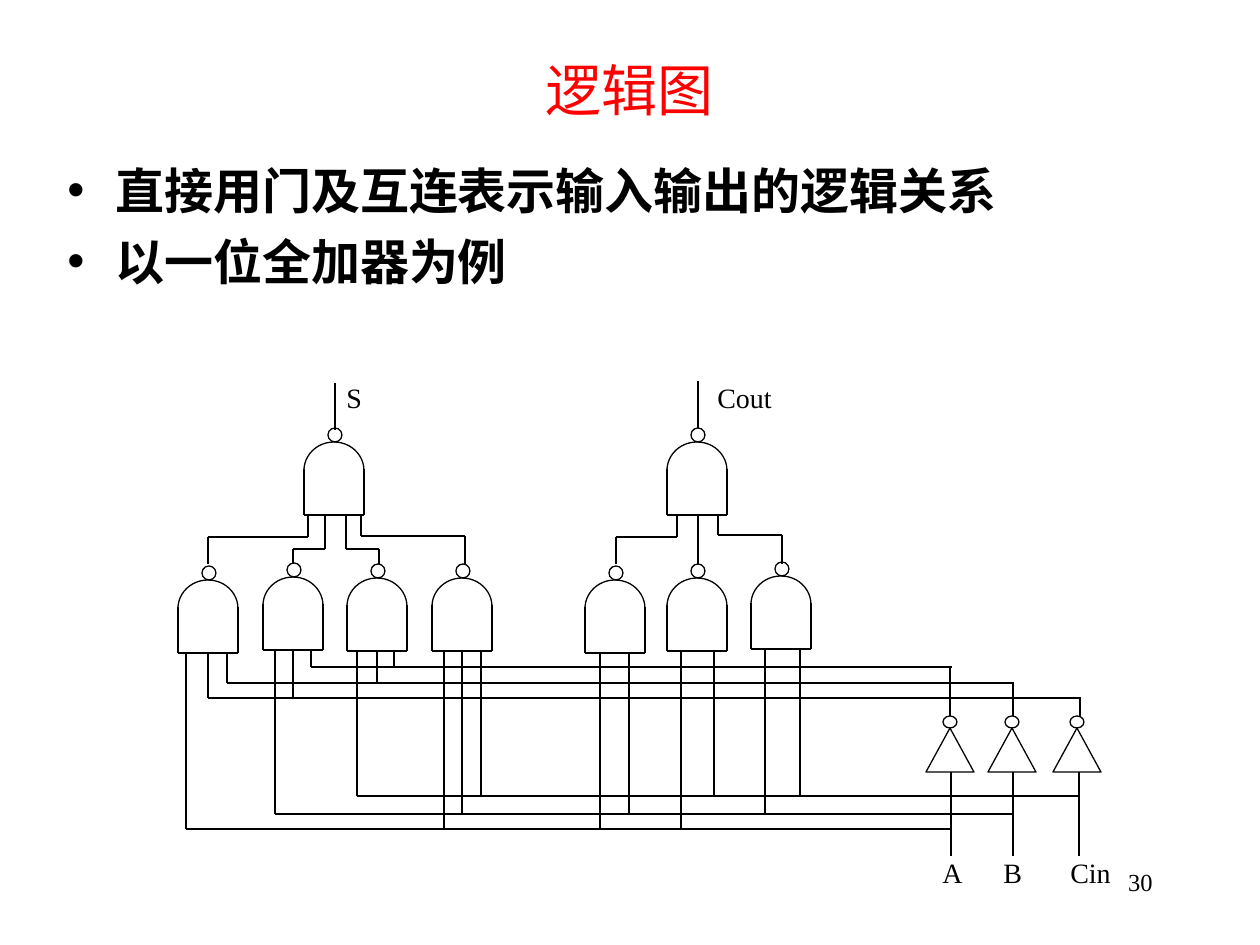
from dataclasses import dataclass

from lxml.etree import SubElement
from pptx import Presentation
from pptx.dml.color import RGBColor
from pptx.enum.shapes import MSO_CONNECTOR, MSO_SHAPE
from pptx.enum.text import MSO_ANCHOR, PP_ALIGN
from pptx.oxml.ns import qn
from pptx.util import Pt

EMU_PER_PX = 914400 / 126


@dataclass(frozen=True)
class Theme:
    ink: RGBColor = RGBColor(0, 0, 0)
    paper: RGBColor = RGBColor(255, 255, 255)
    title: RGBColor = RGBColor(255, 0, 0)
    title_font: str = "Arial"
    body_font: str = "Times New Roman"
    title_size: int = 32
    body_size: int = 28
    label_size: int = 16
    page_size: int = 14
    line_width: float = 0.75


THEME = Theme()

# Content: text
TITLE = "逻辑图"
BULLETS = ["直接用门及互连表示输入输出的逻辑关系", "以一位全加器为例"]
PAGE_NUMBER = "30"
OUTPUT_LABELS = [("S", (334, 374, 39, 47)), ("Cout", (705, 374, 86, 47))]
INPUT_LABELS = "A\tB\tCin"
INPUT_TABS = [61, 128]

# Content: gates as (left, top of dome)
OUTPUT_GATES = [(304, 442), (667, 442)]
PRODUCT_GATES = [(178, 580), (263, 577), (347, 578), (432, 578),
                 (585, 580), (667, 578), (751, 576)]
GATE_WIDTH, DOME_HEIGHT, SIDE_TOP, GATE_HEIGHT, BUBBLE = 60, 57, 27, 73, 14

# Content: inverters as (left, input x, output x, rail y)
INVERTERS = [(926, 951, 950, 667), (988, 1013, 1013, 683), (1053, 1079, 1080, 698)]
INVERTER_TOP, INVERTER_WIDTH, INVERTER_HEIGHT, INPUT_END = 728, 48, 44, 856

# Content: rails as (y, right end, x of each drop); the first drop is the left end
RAILS = [
    (829, 951, [186, 444, 600, 681]),
    (814, 1014, [275, 462, 629, 765]),
    (796, 1079, [357, 481, 714, 800]),
    (698, 1081, [208, 293]),
    (683, 1014, [227, 377]),
    (667, 952, [311, 394]),
]

# Content: links from product bubble to output gate as (bubble x, bend y, pin x)
LINKS = [(208, 537, 308), (293, 549, 325), (379, 549, 346), (465, 536, 361),
         (616, 537, 677), (782, 535, 718)]
BUBBLE_TOP, OUTPUT_BASE = 564, OUTPUT_GATES[0][1] + GATE_HEIGHT
STRAIGHT_WIRES = [(698, BUBBLE_TOP, 698, OUTPUT_BASE),
                  (335, 430, 335, 383), (698, 428, 698, 381)]


def px(*values):
    return [round(value * EMU_PER_PX) for value in values]


def apply(target, values):
    for name, value in values.items():
        setattr(target, name, value)


def add_text(shapes, box, lines, size, font=THEME.body_font, color=THEME.ink, bold=False,
             align=PP_ALIGN.LEFT, anchor=MSO_ANCHOR.TOP, bullet=False, tabs=()):
    frame = shapes.add_textbox(*px(*box)).text_frame
    apply(frame, {"word_wrap": True, "vertical_anchor": anchor})
    for index, line in enumerate(lines):
        paragraph = frame.paragraphs[0] if index == 0 else frame.add_paragraph()
        paragraph.text = line
        paragraph.alignment = align
        if index:
            paragraph.space_before = Pt(7)
        properties = paragraph._p.get_or_add_pPr()
        if bullet:
            indent = px(48)[0]
            properties.set("marL", str(indent))
            properties.set("indent", str(-indent))
            SubElement(properties, qn("a:buFont"), typeface="Arial")
            SubElement(properties, qn("a:buChar"), char="•")
        if tabs:
            tab_list = SubElement(properties, qn("a:tabLst"))
            for position in px(*tabs):
                SubElement(tab_list, qn("a:tab"), pos=str(position), algn="l")
        run_font = paragraph.runs[0].font
        apply(run_font, {"name": font, "size": Pt(size), "bold": bold})
        run_font.color.rgb = color


def add_wire(shapes, x1, y1, x2, y2):
    wire = shapes.add_connector(MSO_CONNECTOR.STRAIGHT, *px(x1, y1, x2, y2))
    wire.line.color.rgb = THEME.ink
    wire.line.width = Pt(THEME.line_width)
    SubElement(wire._element.spPr, qn("a:effectLst"))


def add_part(shapes, kind, box, filled=False, outlined=True):
    part = shapes.add_shape(kind, *px(*box))
    part.shadow.inherit = False
    if filled:
        part.fill.solid()
        part.fill.fore_color.rgb = THEME.paper
    else:
        part.fill.background()
    if outlined:
        part.line.color.rgb = THEME.ink
        part.line.width = Pt(THEME.line_width)
    else:
        part.line.fill.background()


def add_gate(shapes, left, top):
    right, base = left + GATE_WIDTH, top + GATE_HEIGHT
    add_part(shapes, MSO_SHAPE.OVAL, (left, top, GATE_WIDTH, DOME_HEIGHT), filled=True)
    add_part(shapes, MSO_SHAPE.RECTANGLE, (left, top + 29, GATE_WIDTH, 30),
             filled=True, outlined=False)
    add_wire(shapes, left, base, right, base)
    for side in (left, right):
        add_wire(shapes, side, top + SIDE_TOP, side, base)
    add_part(shapes, MSO_SHAPE.OVAL, (left + 24, top - BUBBLE, BUBBLE, BUBBLE))


def add_inverter(shapes, left, input_x, output_x, rail_y):
    base = INVERTER_TOP + INVERTER_HEIGHT
    add_part(shapes, MSO_SHAPE.FLOWCHART_EXTRACT,
             (left, INVERTER_TOP, INVERTER_WIDTH, INVERTER_HEIGHT))
    add_part(shapes, MSO_SHAPE.OVAL, (left + 17, INVERTER_TOP - 12, BUBBLE, 12))
    add_wire(shapes, input_x, base, input_x, INPUT_END)
    add_wire(shapes, output_x, INVERTER_TOP - 12, output_x, rail_y)


def gate_base_at(x):
    return next(top + GATE_HEIGHT for left, top in PRODUCT_GATES
                if left <= x <= left + GATE_WIDTH)


def main():
    presentation = Presentation()
    presentation.slide_width, presentation.slide_height = px(1260, 945)
    slide = presentation.slides.add_slide(presentation.slide_layouts[6])

    # Title and bullets
    add_text(slide.shapes, (94, 53, 1071, 73), [TITLE], THEME.title_size, THEME.title_font,
             THEME.title, align=PP_ALIGN.CENTER, anchor=MSO_ANCHOR.MIDDLE)
    add_text(slide.shapes, (55, 154, 1114, 209), BULLETS, THEME.body_size,
             bold=True, bullet=True)

    # Gates and inverters
    circuit = slide.shapes.add_group_shape().shapes
    for gate in OUTPUT_GATES + PRODUCT_GATES:
        add_gate(circuit, *gate)
    for inverter in INVERTERS:
        add_inverter(circuit, *inverter)

    # Input rails with their drops
    for y, right, drops in RAILS:
        add_wire(circuit, drops[0], y, right, y)
        for x in drops:
            add_wire(circuit, x, y, x, gate_base_at(x))

    # Links between the gate rows
    for bubble_x, bend_y, pin_x in LINKS:
        add_wire(circuit, bubble_x, BUBBLE_TOP, bubble_x, bend_y)
        add_wire(circuit, bubble_x, bend_y, pin_x, bend_y)
        add_wire(circuit, pin_x, bend_y, pin_x, OUTPUT_BASE)
    for wire in STRAIGHT_WIRES:
        add_wire(circuit, *wire)

    # Signal labels and page number
    for label, box in OUTPUT_LABELS:
        add_text(circuit, box, [label], THEME.label_size)
    add_text(circuit, (930, 849, 203, 47), [INPUT_LABELS], THEME.label_size, tabs=INPUT_TABS)
    add_text(slide.shapes, (903, 861, 262, 63), [PAGE_NUMBER], THEME.page_size,
             align=PP_ALIGN.RIGHT)

    presentation.save("out.pptx")


if __name__ == "__main__":
    main()
